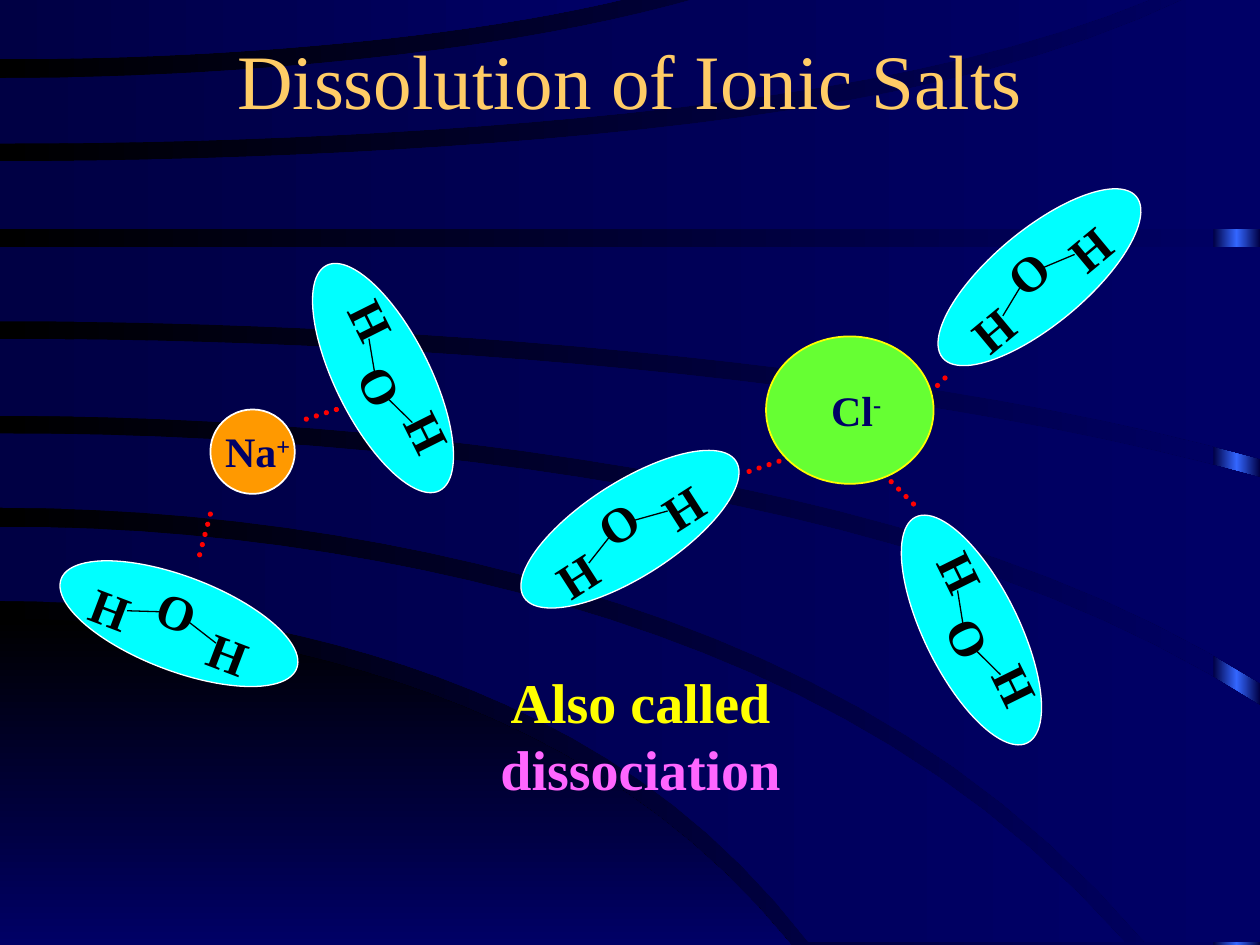
from math import cos, radians, sin

from lxml import etree
from pptx import Presentation
from pptx.dml.color import RGBColor
from pptx.enum.dml import MSO_LINE
from pptx.enum.shapes import MSO_CONNECTOR, MSO_SHAPE
from pptx.enum.text import MSO_ANCHOR, PP_ALIGN
from pptx.oxml.ns import qn
from pptx.util import Inches, Pt

STRAIGHT = MSO_CONNECTOR.STRAIGHT
OVAL, RECTANGLE = MSO_SHAPE.OVAL, MSO_SHAPE.RECTANGLE
DOTTED = MSO_LINE.ROUND_DOT
TOP, MIDDLE = MSO_ANCHOR.TOP, MSO_ANCHOR.MIDDLE
CENTER = PP_ALIGN.CENTER

THEME = {
    "font": "Times New Roman",
    "title": "FFCC66", "title_size": 44,
    "atom": "000000", "atom_size": 28,
    "ion": "000066", "ion_size": 24,
    "note": "FFFF00", "term": "FF66FF", "note_size": 32,
    "water": "00FFFF", "outline": "FFFFFF", "bond": "000000", "attraction": "FF0000",
    "page": ("000000", "000066"), "band": ("000044", "000066"),
    "edge": ("000044", "3366FF", "000044"),
}

TITLE = "Dissolution of Ionic Salts"
NOTE = [("Also called ", "note"), ("dissociation", "term")]

# Water: centre of each molecule and its turn in degrees
MOLECULES = [(5, 4.2, 327.3), (8.25, 2.2, 320.2), (3.04, 3, 243.4),
             (7.71, 5, 243.7), (1.42, 4.95, 20.8)]
# Offsets from the centre of an unturned molecule
ATOMS = [("H", -0.55, 0.08), ("H", 0.45, 0.08), ("O", -0.05, -0.09)]
BONDS = [((-0.42, 0.05), (-0.16, -0.04)), ((0.33, 0.04), (0.07, -0.04))]

ATTRACTIONS = [((1.67, 4.08), (1.58, 4.42)), ((6.42, 3.58), (5.92, 3.75)),
               ((2.67, 3.25), (2.42, 3.33)), ((7.5, 3), (7.42, 3.08)),
               ((7.25, 4), (7, 3.75))]

# Ions: symbol, charge, circle box, label box, fill, outline
IONS = [
    ("Cl", "-", (6.08, 2.67, 1.33, 1.17), (6.42, 3, 0.75, 0.5), "66FF33", "FFFF00"),
    ("Na", "+", (1.67, 3.25, 0.67, 0.67), (1.67, 3.33, 0.75, 0.5), "FF9900", "FFFFFF"),
]

# Background sweeps: upper and lower curve, each as
# (height at the left, gentle bend, end x, end y)
CORNER = ((4.91, 1.96, 6.28, 7.5), (7.5, 0, 6.28, 7.5))
BANDS = [
    ((4.18, 2.44, 8.93, 7.48), (4.77, 1.99, 6.42, 7.48)),
    ((3.44, 1.62, 10, 5.6), (4.03, 2.52, 9.09, 7.48), (10, 7.48)),
    ((2.69, 0.95, 10, 3.79), (3.3, 1.6, 10, 5.42)),
    ((1.96, 0, 10, 1.96), (2.55, 0.94, 10, 3.64)),
    ((1.28, -0.82, 9.43, -0.02), (1.82, 0, 10, 1.82), (10, -0.02)),
    ((0.62, -0.56, 5.56, -0.02), (1.14, -0.79, 9.17, -0.02)),
    ((-0.02, 0, 5.01, -0.02), (0.47, -0.43, 5.01, -0.02)),
]
CURVE_STEPS = 24


def rgb(value):
    return RGBColor.from_string(value)


def set_gradient(fill, colors, angle=0):
    fill.gradient()
    fill.gradient_angle = angle
    for stop, color, place in zip(fill.gradient_stops, (colors[0], colors[-1]), (0, 1)):
        stop.color.rgb = rgb(color)
        stop.position = place


def curve_points(start_y, bend, end_x, end_y):
    """A curve that bends gently at first and more sharply near its end."""
    sharp = end_y - start_y - bend
    steps = [step / CURVE_STEPS for step in range(CURVE_STEPS + 1)]
    return [(t * end_x, start_y + bend * t**2 + sharp * t**6) for t in steps]


def add_sweep(page, upper, lower, *corners, colors=THEME["band"], angle=0):
    outline = [*curve_points(*upper), *corners, *reversed(curve_points(*lower))]
    points = [(Inches(x), Inches(y)) for x, y in outline]
    builder = page.shapes.build_freeform(*points[0])
    builder.add_line_segments(points[1:], close=True)
    sweep = builder.convert_to_shape()
    set_gradient(sweep.fill, colors, angle)
    sweep.line.fill.background()
    sweep.shadow.inherit = False


def add_oval(shapes, place, fill, outline, width):
    oval = shapes.add_shape(OVAL, *map(Inches, place))
    oval.fill.solid()
    oval.fill.fore_color.rgb = rgb(fill)
    oval.line.color.rgb = rgb(outline)
    oval.line.width = Pt(width)
    oval.shadow.inherit = False
    return oval


def add_text(shapes, place, spans, size, bold=True, anchor=TOP):
    """Add a centred box; spans are (text, colour) pairs."""
    box = shapes.add_textbox(*map(Inches, place))
    box.text_frame.word_wrap = True
    box.text_frame.vertical_anchor = anchor
    para = box.text_frame.paragraphs[0]
    para.alignment = CENTER
    for text, color in spans:
        span = para.add_run()
        span.text = text
        span.font.name, span.font.size, span.font.bold = THEME["font"], Pt(size), bold
        span.font.color.rgb = rgb(THEME[color])
    return box


def add_line(shapes, start, end, color, width):
    line = shapes.add_connector(STRAIGHT, *map(Inches, (*start, *end)))
    line.line.color.rgb = rgb(color)
    line.line.width = Pt(width)
    etree.SubElement(line._element.spPr, qn("a:effectLst"))
    return line


def add_molecule(page, x, y, turn):
    def turned(dx, dy):
        c, s = cos(radians(turn)), sin(radians(turn))
        return x + dx * c - dy * s, y + dx * s + dy * c

    shapes = page.shapes.add_group_shape().shapes
    oval = add_oval(shapes, (x - 1, y - 0.375, 2, 0.75), THEME["water"], THEME["outline"], 0.75)
    oval.rotation = turn
    for symbol, dx, dy in ATOMS:
        left, top = turned(dx, dy)
        atom = add_text(shapes, (left - 0.29, top - 0.285, 0.58, 0.57),
                        [(symbol, "atom")], THEME["atom_size"])
        atom.rotation = turn
    for start, end in BONDS:
        add_line(shapes, turned(*start), turned(*end), THEME["bond"], 0.75)


def main():
    deck = Presentation()
    deck.slide_width, deck.slide_height = Inches(10), Inches(7.5)
    page = deck.slides.add_slide(deck.slide_layouts[6])

    # Background
    set_gradient(page.background.fill, THEME["page"])
    edge = page.shapes.add_shape(RECTANGLE, *map(Inches, (9.63, 0, 0.37, 7.5)))
    set_gradient(edge.fill, THEME["edge"])
    middle = etree.Element(qn("a:gs"), pos="50000")
    etree.SubElement(middle, qn("a:srgbClr"), val=THEME["edge"][1])
    edge._element.spPr.find(".//" + qn("a:gsLst")).insert(1, middle)
    edge.line.fill.background()
    edge.shadow.inherit = False
    add_sweep(page, *CORNER, colors=THEME["page"], angle=270)
    for band in BANDS:
        add_sweep(page, *band)

    # Title, water and attractions
    add_text(page.shapes, (0.75, 0, 8.5, 1.25), [(TITLE, "title")],
             THEME["title_size"], False, MIDDLE)
    for molecule in MOLECULES:
        add_molecule(page, *molecule)
    for start, end in ATTRACTIONS:
        dots = add_line(page.shapes, start, end, THEME["attraction"], 3)
        dots.line.dash_style = DOTTED
        dots._element.spPr.find(qn("a:ln")).set("cap", "rnd")

    # Note and ions
    add_text(page.shapes, (3, 5.25, 4.17, 1.17), NOTE, THEME["note_size"])
    for symbol, charge, circle, label, fill, outline in IONS:
        shapes = page.shapes.add_group_shape().shapes
        add_oval(shapes, circle, fill, outline, 1)
        box = add_text(shapes, label, [(symbol, "ion"), (charge, "ion")], THEME["ion_size"])
        box.text_frame.paragraphs[0].runs[1].font._element.set("baseline", "30000")

    deck.save("out.pptx")


if __name__ == "__main__":
    main()
